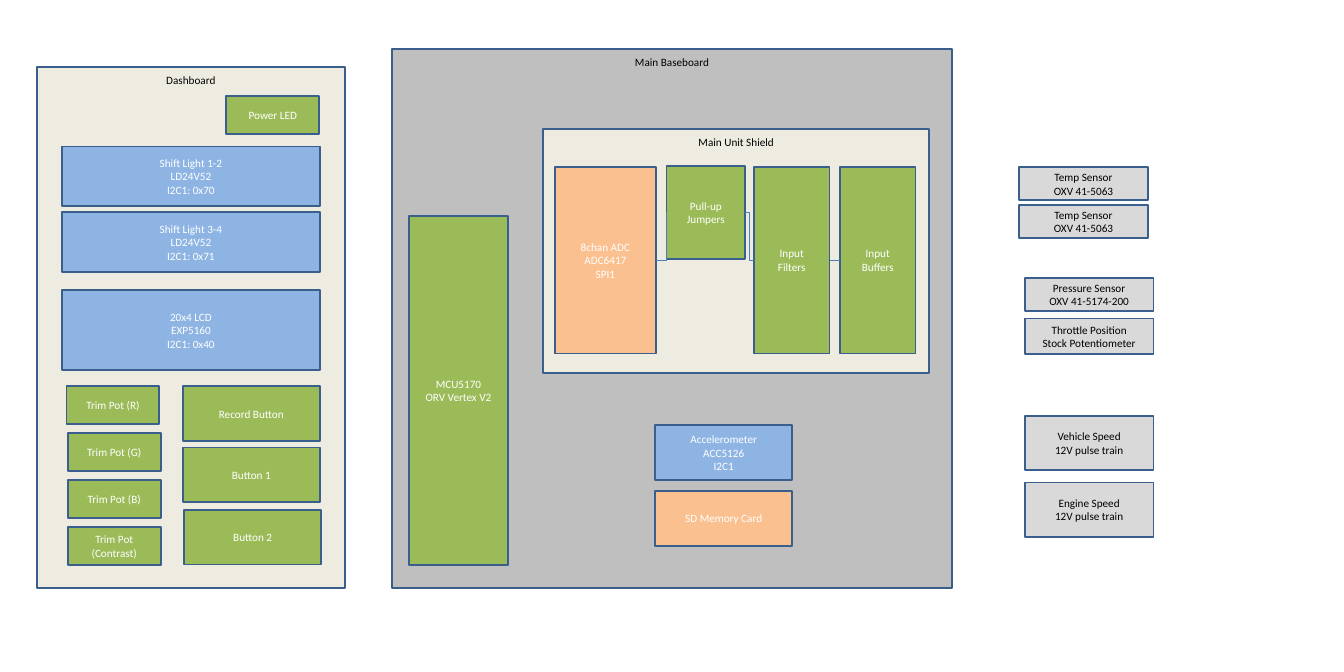
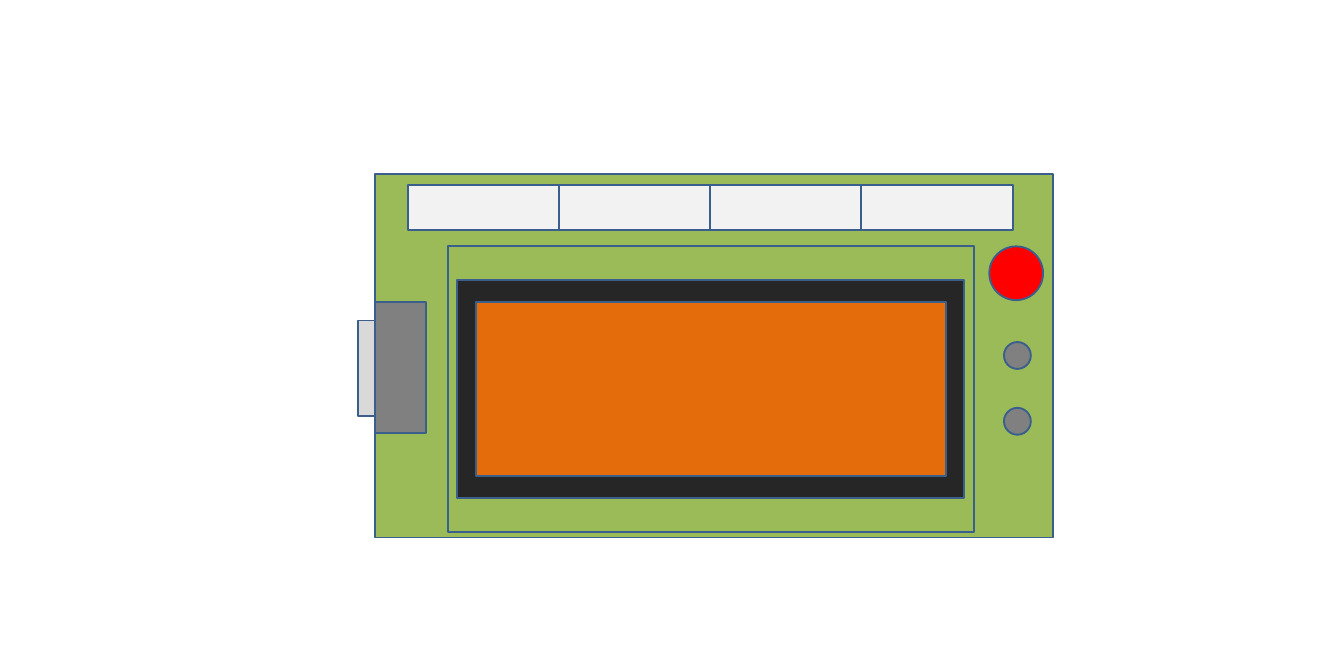
from dataclasses import dataclass

from pptx import Presentation
from pptx import util as u
from pptx.dml.color import RGBColor
from pptx.enum import shapes, text
from pptx.oxml import ns, xmlchemy


@dataclass(frozen=True)
class Theme:
    font: str = "Calibri"
    size: float = 12
    outline: str = "3A5F8C"
    outline_width: float = 2
    wire: str = "4B7EBC"
    wire_width: float = 0.75
    board: str = "BFBFBF"
    panel: str = "EEECE1"
    green: str = "9BBB59"
    blue: str = "8EB4E3"
    peach: str = "FAC090"
    sensor: str = "D9D9D9"
    bezel: str = "262626"
    screen: str = "E46C0A"
    lamp: str = "F2F2F2"
    red: str = "FF0000"
    grey: str = "808080"
    dark: str = "000000"
    light: str = "FFFFFF"


T = Theme()


def rgb(value):
    return RGBColor.from_string(value)


class Deck:
    def __init__(self, width, height):
        self.prs = Presentation()
        self.prs.slide_width, self.prs.slide_height = u.Pt(width), u.Pt(height)
        self.s = None

    def slide(self):
        self.s = self.prs.slides.add_slide(self.prs.slide_layouts[6])

    def shape(self, kind, x, y, w, h, fill, parent=None):
        owner = parent or self.s
        sp = owner.shapes.add_shape(kind, u.Pt(x), u.Pt(y), u.Pt(w), u.Pt(h))
        sp.shadow.inherit = False
        sp.fill.solid()
        sp.fill.fore_color.rgb = rgb(fill)
        sp.line.color.rgb = rgb(T.outline)
        sp.line.width = u.Pt(T.outline_width)
        return sp

    def rect(self, x, y, w, h, fill, parent=None):
        return self.shape(shapes.MSO_SHAPE.RECTANGLE, x, y, w, h, fill, parent)

    def disc(self, x, y, d, fill):
        return self.shape(shapes.MSO_SHAPE.OVAL, x, y, d, d, fill)

    def box(self, label, x, y, w, h, fill, color=T.light, anchor=text.MSO_ANCHOR.MIDDLE):
        sp = self.rect(x, y, w, h, fill)
        tf = sp.text_frame
        tf.word_wrap = True
        tf.vertical_anchor = anchor
        tf.margin_left = tf.margin_right = u.Pt(13.6)
        tf.margin_top = tf.margin_bottom = u.Pt(7.2)
        tf.text = label
        for p in tf.paragraphs:
            p.alignment = text.PP_ALIGN.CENTER
            for r in p.runs:
                r.font.name = T.font
                r.font.size = u.Pt(T.size)
                r.font.color.rgb = rgb(color)
        return sp

    def panel(self, label, x, y, w, h, fill):
        return self.box(label, x, y, w, h, fill, T.dark, text.MSO_ANCHOR.TOP)

    def link(self, start, start_site, end, end_site, preset="bentConnector3"):
        wire = self.s.shapes.add_connector(shapes.MSO_CONNECTOR.ELBOW, 0, 0, 0, 0)
        wire.begin_connect(start, start_site)
        wire.end_connect(end, end_site)
        wire.line.color.rgb = rgb(T.wire)
        wire.line.width = u.Pt(T.wire_width)
        pr = wire._element.spPr
        pr.find(ns.qn("a:prstGeom")).set("prst", preset)
        pr.append(xmlchemy.OxmlElement("a:effectLst"))
        return wire


def dashboard(d):
    d.panel("Dashboard", 39.5, 71.5, 330, 558.5, T.panel)
    d.box("Power LED", 242.6, 103, 99.4, 41, T.green)
    for label, y, h in (
        ("Shift Light 1-2\nLD24V52\nI2C1: 0x70", 157, 64),
        ("Shift Light 3-4\nLD24V52\nI2C1: 0x71", 227.5, 64),
        ("20x4 LCD\nEXP5160\nI2C1: 0x40", 311, 85.7),
    ):
        d.box(label, 66.6, y, 276, h, T.blue)
    for i, name in enumerate(("R", "G", "B", "Contrast")):
        x = 72.7 if i else 71.3
        d.box(f"Trim Pot ({name})", x, 413.8 + 50.2 * i, 99.4, 41, T.green)
    for label, x, y in (
        ("Record Button", 195.8, 414),
        ("Button 1", 195.8, 479.5),
        ("Button 2", 197.3, 546.5),
    ):
        d.box(label, x, y, 147, 58.3, T.green)


def baseboard(d):
    d.panel("Main Baseboard", 420, 52.5, 600, 577.5, T.board)
    d.box("MCU5170\nORV Vertex V2", 438, 231, 106.5, 374.5, T.green)
    d.box("Accelerometer\nACC5126\nI2C1", 702, 455.8, 147, 58.3, T.blue)
    d.box("SD Memory Card", 702, 526.3, 147, 58.3, T.peach)

    d.panel("Main Unit Shield", 581.8, 138.2, 414, 261.4, T.panel)
    top, height = 178.6, 200.2
    adc = d.box("8chan ADC\nADC6417\nSPI1", 594.7, top, 108, height, T.peach)
    buffers = d.box("Input Buffers", 900, top, 81, height, T.green)
    filters = d.box("Input Filters", 807.8, top, 81, height, T.green)
    jumpers = d.box("Pull-up Jumpers", 714.2, 177.8, 84.2, 99.4, T.green)
    d.link(buffers, 1, filters, 3)
    d.link(filters, 1, jumpers, 3)
    d.link(adc, 3, jumpers, 1, "bentConnector2")


def sensors(d):
    for label, x, y, h in (
        ("Temp Sensor\nOXV 41-5063", 1092, 179.3, 35.3),
        ("Temp Sensor\nOXV 41-5063", 1092, 219.8, 35.3),
        ("Pressure Sensor\nOXV 41-5174-200", 1098, 297.5, 36),
        ("Throttle Position\nStock Potentiometer", 1098, 341.3, 38.2),
        ("Vehicle Speed\n12V pulse train", 1098, 445.7, 58.3),
        ("Engine Speed\n12V pulse train", 1098, 517, 58.3),
    ):
        d.box(label, x, y, 138, h, T.sensor, T.dark)


def front_view(d):
    d.rect(402, 186, 726, 390, T.green)
    d.rect(480, 264, 564, 306, T.green)
    d.rect(489.6, 300, 543, 234, T.bezel)
    lights = d.s.shapes.add_group_shape()
    for i in range(4):
        d.rect(437 + 162 * i, 198, 162, 48, T.lamp, lights)
    d.rect(510, 324, 504, 186, T.screen)
    d.disc(1060, 264, 57.6, T.red)
    for y in (366.5, 437):
        d.disc(1075.7, y, 28.8, T.grey)
    d.rect(402, 324, 54, 140.4, T.grey)
    d.rect(384, 343.4, 18, 102.2, T.sensor)


def main():
    d = Deck(1440, 720)
    d.slide()
    baseboard(d)
    dashboard(d)
    sensors(d)
    d.slide()
    front_view(d)
    d.prs.save("out.pptx")


if __name__ == "__main__":
    main()
